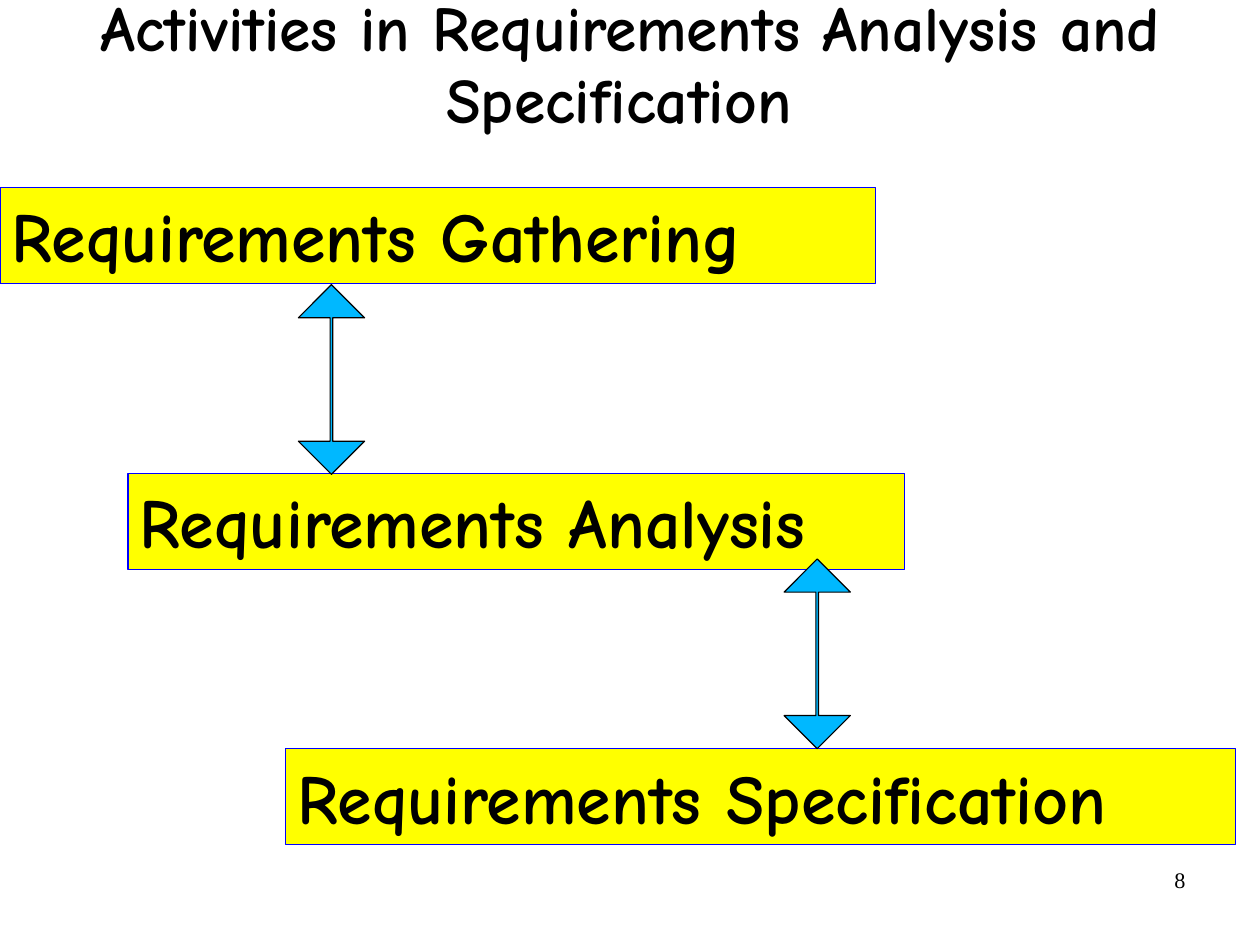
from dataclasses import dataclass
from pptx import Presentation
from pptx.dml.color import RGBColor as Color
from pptx.enum.shapes import MSO_SHAPE as Kind
from pptx.enum.text import MSO_ANCHOR as Anchor, MSO_AUTO_SIZE as Fit, PP_ALIGN as Align
from pptx.util import Inches, Pt


@dataclass(frozen=True)
class Theme:
    """Colours, fonts and type sizes of the slide."""
    ink: str = "000000"
    box: str = "FFFF00"
    edge: str = "0000FF"
    arrow: str = "00B8FF"
    main: str = "Comic Neue"
    page: str = "Times New Roman"
    head_size: int = 40
    step_size: int = 44
    page_size: int = 14
    line: float = 0.75


THEME = Theme()


def write(frame, text, face, size, bold, align):
    """Put one styled paragraph into a text frame."""
    frame.word_wrap = True
    frame.text = text
    para = frame.paragraphs[0]
    para.alignment = align
    font = para.font
    font.name, font.size, font.bold = face, Pt(size), bold
    font.color.rgb = Color.from_string(THEME.ink)
    return para


def add_title(slide, text):
    """Move and format the title placeholder."""
    title = slide.shapes.title
    title.left, title.top = Inches(0.81), Inches(-0.11)
    title.width, title.height = Inches(9.41), Inches(1.37)
    frame = title.text_frame
    frame.auto_size = Fit.NONE
    frame.vertical_anchor = Anchor.MIDDLE
    frame.margin_left = frame.margin_right = 0
    frame.margin_top = frame.margin_bottom = 0
    para = write(frame, text, THEME.main, THEME.head_size, True, Align.CENTER)
    para.line_spacing = 0.94


def add_form(slide, kind, left, top, width, height, fill, line):
    """Draw a filled and outlined preset shape."""
    form = slide.shapes.add_shape(
        kind, Inches(left), Inches(top), Inches(width), Inches(height))
    form.shadow.inherit = False
    form.fill.solid()
    form.fill.fore_color.rgb = Color.from_string(fill)
    form.line.color.rgb = Color.from_string(line)
    form.line.width = Pt(THEME.line)
    return form


def add_step(slide, text, left, top, width):
    """Draw one labelled activity box."""
    step = add_form(slide, Kind.RECTANGLE, left, top, width, 0.84,
                    THEME.box, THEME.edge)
    step.text_frame.vertical_anchor = Anchor.TOP
    write(step.text_frame, text, THEME.main, THEME.step_size, True, Align.LEFT)


def add_arrow(slide, left, top):
    """Draw an upright two-way arrow between two steps."""
    arrow = add_form(slide, Kind.LEFT_RIGHT_ARROW, left, top, 1.66, 0.58,
                     THEME.arrow, THEME.ink)
    arrow.adjustments[0] = 0.04
    arrow.adjustments[1] = 0.5
    arrow.rotation = 270


def add_page(slide, text):
    """Write the page number at the lower right."""
    box = slide.shapes.add_textbox(
        Inches(7.9), Inches(7.53), Inches(2.57), Inches(0.57))
    write(box.text_frame, text, THEME.page, THEME.page_size, False, Align.RIGHT)


def main():
    """Build and save the slide."""
    deck = Presentation()
    deck.slide_width, deck.slide_height = Inches(28 / 2.54), Inches(21 / 2.54)
    slide = deck.slides.add_slide(deck.slide_layouts[5])
    add_page(slide, "8")
    add_title(slide, "Activities in Requirements Analysis and Specification ")
    steps = [
        ("Requirements Gathering", 0, 1.64, 7.66),
        ("Requirements Analysis", 1.12, 4.14, 6.79),
        ("Requirements Specification", 2.5, 6.55, 8.31),
    ]
    for step in steps:
        add_step(slide, *step)
    for left, top in [(2.07, 3.03), (6.32, 5.43)]:
        add_arrow(slide, left, top)
    deck.save("out.pptx")


if __name__ == "__main__":
    main()
